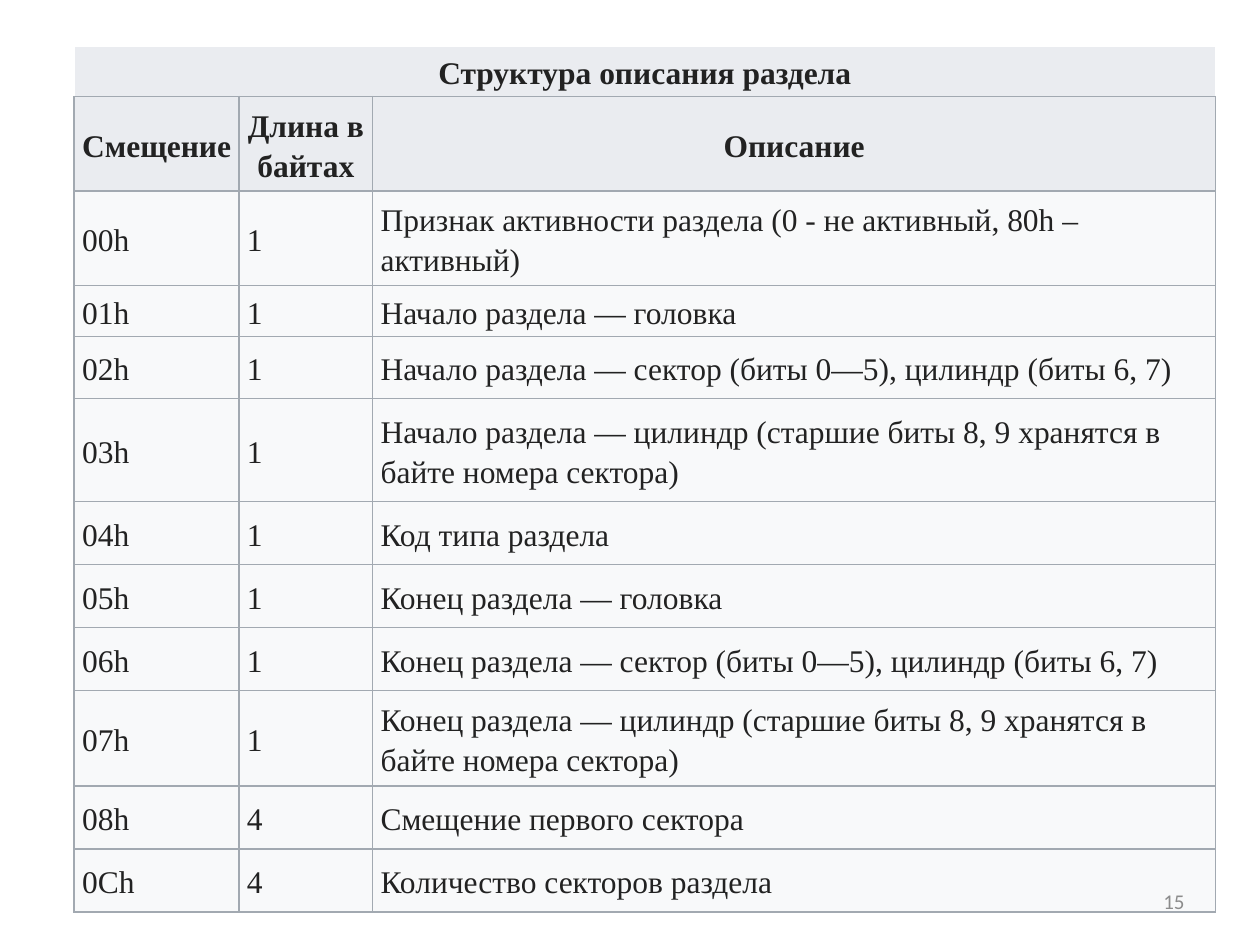
from dataclasses import dataclass

from lxml.etree import SubElement
from pptx import Presentation
from pptx.dml.color import RGBColor as RGB
from pptx.enum.text import MSO_ANCHOR as Anchor, PP_ALIGN as Align
from pptx.oxml.ns import qn
from pptx.util import Pt


@dataclass(frozen=True)
class Theme:
    head: str = "EAECF0"
    body: str = "F8F9FA"
    ink: str = "222222"
    line: str = "A2A9B1"
    muted: str = "8C8C8C"
    font: str = "Times New Roman"
    size: int = 18
    foot: str = "Calibri"
    small: int = 12


theme = Theme()


def style(par, name, size, color, bold=False):
    for run in par.runs:
        font = run.font
        font.name, font.size, font.bold = name, Pt(size), bold
        font.color.rgb = RGB.from_string(color)


def border(cell, sides):
    """Draw thin lines on the given sides, a string of the letters L, R, T, B."""
    props = cell._tc.get_or_add_tcPr()
    for side in sides:
        line = SubElement(props, qn(f"a:ln{side}"), w=str(Pt(1)))
        fill = SubElement(line, qn("a:solidFill"))
        SubElement(fill, qn("a:srgbClr"), val=theme.line)


rows = [
    (29, "Структура описания раздела", "", ""),
    (54, "Смещение", "Длина в байтах", "Описание"),
    (54, "00h", "1", "Признак активности раздела (0 - не активный, 80h – активный)"),
    (29, "01h", "1", "Начало раздела — головка"),
    (35.5, "02h", "1", "Начало раздела — сектор (биты 0—5), цилиндр (биты 6, 7)"),
    (59, "03h", "1", "Начало раздела — цилиндр (старшие биты 8, 9 хранятся в байте номера сектора)"),
    (36, "04h", "1", "Код типа раздела"),
    (36, "05h", "1", "Конец раздела — головка"),
    (36, "06h", "1", "Конец раздела — сектор (биты 0—5), цилиндр (биты 6, 7)"),
    (54.5, "07h", "1", "Конец раздела — цилиндр (старшие биты 8, 9 хранятся в байте номера сектора)"),
    (36, "08h", "4", "Смещение первого сектора"),
    (36, "0Ch", "4", "Количество секторов раздела"),
]
widths = [94.2, 76.4, 481.6]

deck = Presentation()
deck.slide_width, deck.slide_height = Pt(720), Pt(540)
slide = deck.slides.add_slide(deck.slide_layouts[6])

high = sum(row[0] for row in rows)
frame = slide.shapes.add_table(
    len(rows), len(widths), Pt(42.4), Pt(26.2), Pt(sum(widths)), Pt(high))
table = frame.table
table.first_row = table.horz_banding = False
for col, width in zip(table.columns, widths):
    col.width = Pt(width)

for i, (height, *texts) in enumerate(rows):
    table.rows[i].height = Pt(height)
    head = i < 2
    for cell, text in zip(table.rows[i].cells, texts):
        border(cell, "LRTB" if i else "B")
        cell.fill.solid()
        cell.fill.fore_color.rgb = RGB.from_string(theme.head if head else theme.body)
        cell.vertical_anchor = Anchor.MIDDLE
        cell.margin_left = cell.margin_right = Pt(4.5)
        cell.margin_top = cell.margin_bottom = Pt(2.2)
        cell.text_frame.text = text
        par = cell.text_frame.paragraphs[0]
        par.alignment = Align.CENTER if head else Align.LEFT
        par.line_spacing = 1.15
        style(par, theme.font, theme.size, theme.ink, head)
table.cell(0, 0).merge(table.cell(0, 2))

box = slide.shapes.add_textbox(Pt(516), Pt(500.5), Pt(168), Pt(28.8))
page = box.text_frame
page.word_wrap = True
page.vertical_anchor = Anchor.MIDDLE
page.text = "15"
page.paragraphs[0].alignment = Align.RIGHT
style(page.paragraphs[0], theme.foot, theme.small, theme.muted)

deck.save("out.pptx")
